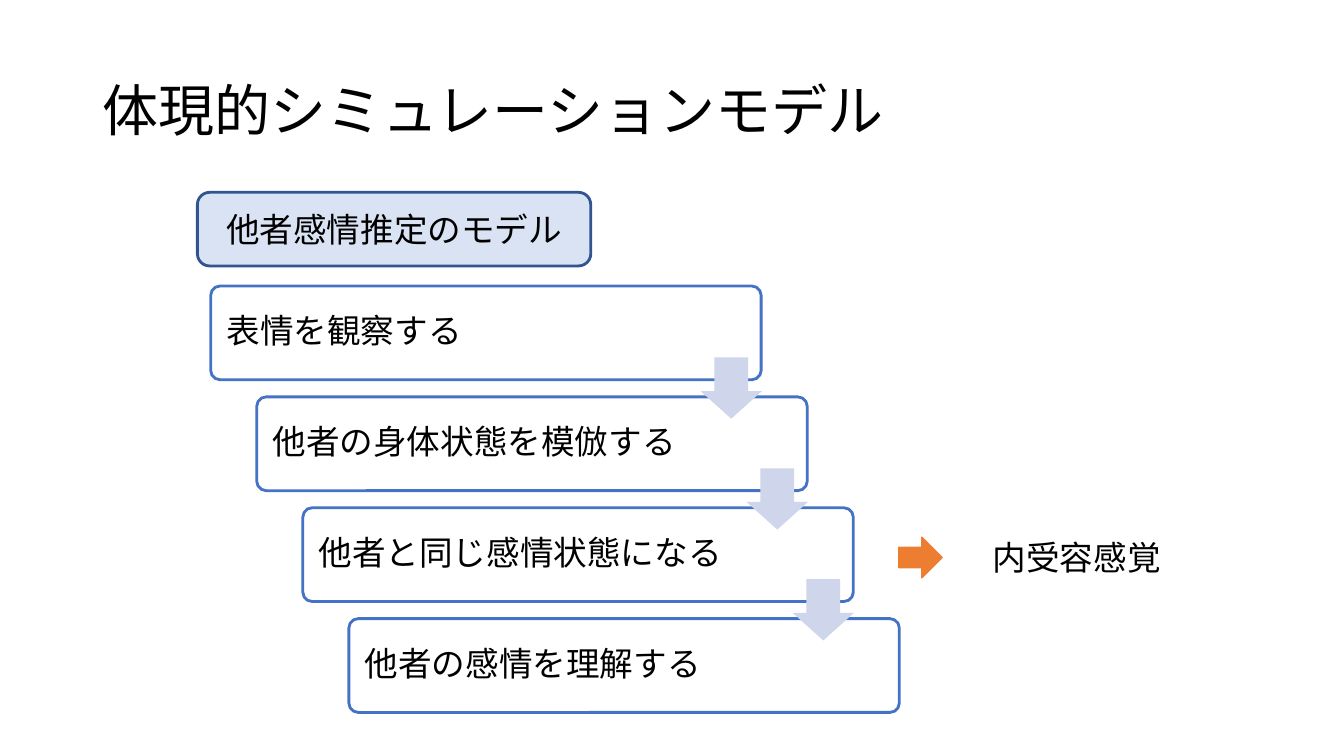
from dataclasses import dataclass

from lxml import etree
from pptx import Presentation
from pptx.dml.color import RGBColor
from pptx.enum.shapes import MSO_SHAPE
from pptx.enum.text import MSO_ANCHOR, PP_ALIGN
from pptx.oxml.ns import qn
from pptx.util import Pt

ROUNDED = MSO_SHAPE.ROUNDED_RECTANGLE
DOWN_ARROW = MSO_SHAPE.DOWN_ARROW
RIGHT_ARROW = MSO_SHAPE.RIGHT_ARROW
MIDDLE = MSO_ANCHOR.MIDDLE
LEFT = PP_ALIGN.LEFT
CENTER = PP_ALIGN.CENTER
TITLE_ONLY = 5


@dataclass(frozen=True)
class Theme:
    font: str = "Noto Sans CJK JP"
    title_size: int = 40
    body_size: int = 24
    text: str = "000000"
    step_line: str = "4472C4"
    step_arrow: str = "CFD5EA"
    heading_fill: str = "DAE3F3"
    heading_line: str = "325491"
    accent: str = "ED7D31"


THEME = Theme()
STEPS = [
    "表情を観察する",
    "他者の身体状態を模倣する",
    "他者と同じ感情状態になる",
    "他者の感情を理解する",
]


def write_text(shape, text, size=THEME.body_size, align=LEFT, spacing=1.0,
               inset=7.2, wrap=True):
    frame = shape.text_frame
    frame.word_wrap = wrap
    frame.vertical_anchor = MIDDLE
    frame.margin_left = frame.margin_right = Pt(inset)
    frame.margin_top = frame.margin_bottom = Pt(3.6)
    paragraph = frame.paragraphs[0]
    paragraph.alignment = align
    paragraph.line_spacing = spacing
    run = paragraph.add_run()
    run.text = text
    run.font.size = Pt(size)
    run.font.color.rgb = RGBColor.from_string(THEME.text)
    run.font.name = THEME.font
    properties = run.font._element
    etree.SubElement(properties, qn("a:ea"), typeface=THEME.font)


def add_box(slide, kind, box, fill=None, line=None, width=2, adjustments=()):
    shape = slide.shapes.add_shape(kind, *map(Pt, box))
    shape.shadow.inherit = False
    for index, value in enumerate(adjustments):
        shape.adjustments[index] = value
    if fill:
        shape.fill.solid()
        shape.fill.fore_color.rgb = RGBColor.from_string(fill)
    else:
        shape.fill.background()
    if line:
        shape.line.color.rgb = RGBColor.from_string(line)
        shape.line.width = Pt(width)
    else:
        shape.line.fill.background()
    return shape


def place_title(slide, box, text):
    title = slide.shapes.title
    title.left, title.top, title.width, title.height = map(Pt, box)
    write_text(title, text, size=THEME.title_size, spacing=0.9)


def draw_heading(slide, box, text):
    heading = add_box(slide, ROUNDED, box, THEME.heading_fill, THEME.heading_line)
    write_text(heading, text, align=CENTER)


def draw_staircase(slide, box, steps):
    left, top, width, height = box
    step_width, step_height, arrow_size = 393.2, 67, 43.8
    shift = (width - step_width) / (len(steps) - 1)
    drop = (height - step_height) / (len(steps) - 1)
    for index, text in enumerate(steps):
        step = add_box(slide, ROUNDED,
                       (left + index * shift, top + index * drop, step_width, step_height),
                       line=THEME.step_line, adjustments=(0.1,))
        write_text(step, text, spacing=0.9, inset=9.3)
    for index in range(len(steps) - 1):
        arrow_left = left + index * shift + step_width - arrow_size + 0.5
        arrow_top = top + index * drop + 51
        add_box(slide, DOWN_ARROW, (arrow_left, arrow_top, arrow_size, arrow_size),
                fill=THEME.step_arrow, adjustments=(0.55, 0.45))


def draw_outcome(slide, box, text):
    left, top, width, height = box
    arrow_width, arrow_height, label_width = 31, 29, 135.4
    add_box(slide, RIGHT_ARROW,
            (left, top + (height - arrow_height) / 2, arrow_width, arrow_height),
            THEME.accent, THEME.accent, 1)
    label = slide.shapes.add_textbox(Pt(left + width - label_width), Pt(top),
                                     Pt(label_width), Pt(height))
    write_text(label, text, wrap=False)


def main():
    presentation = Presentation()
    presentation.slide_width = Pt(960)
    presentation.slide_height = Pt(540)
    slide = presentation.slides.add_slide(presentation.slide_layouts[TITLE_ONLY])
    place_title(slide, (66, 28.8, 828, 104.4), "体現的シミュレーションモデル")
    draw_staircase(slide, (150.5, 204.3, 491.9, 304.6), STEPS)
    draw_heading(slide, (141, 137.4, 281, 52.6), "他者感情推定のモデル")
    draw_outcome(slide, (642, 380.2, 195.4, 36), "内受容感覚")
    presentation.save("out.pptx")


if __name__ == "__main__":
    main()
